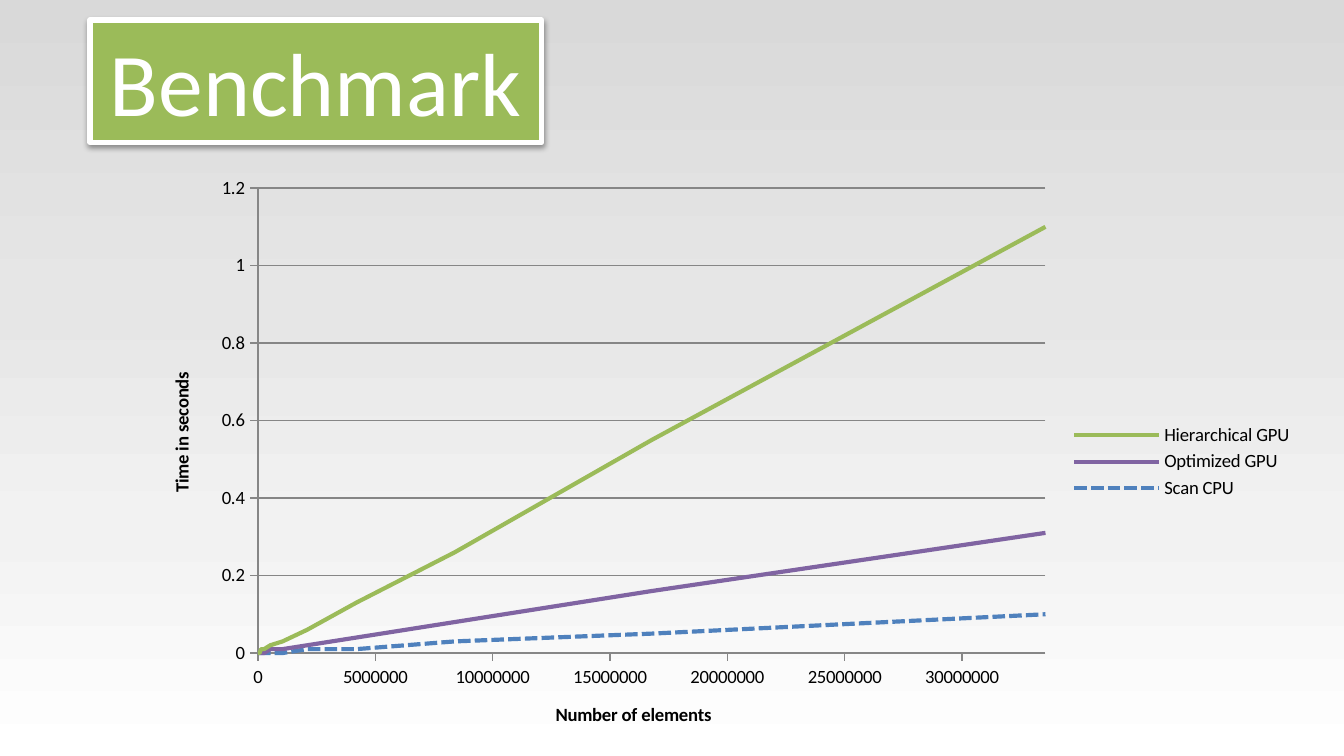
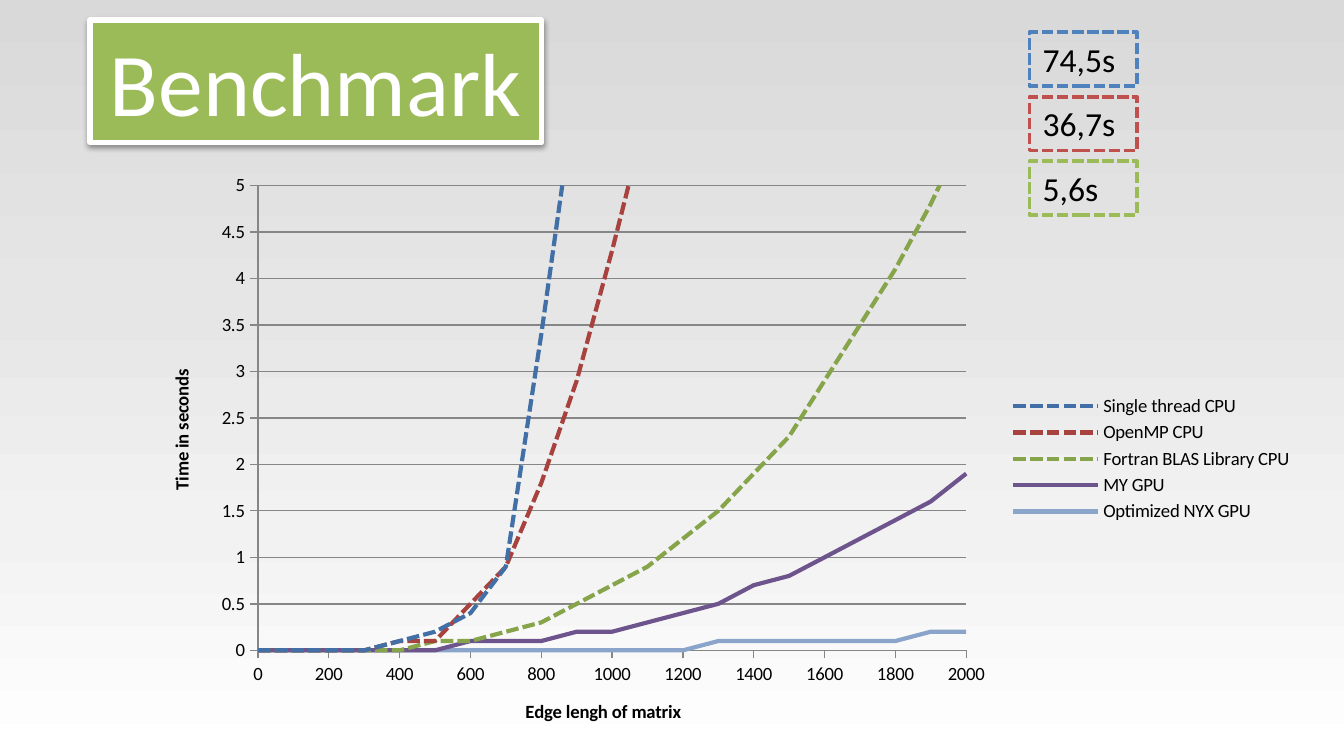
from lxml import etree
from pptx import Presentation
from pptx.chart.data import XyChartData
from pptx.dml.color import RGBColor
from pptx.enum.chart import (XL_CHART_TYPE, XL_LEGEND_POSITION,
                             XL_MARKER_STYLE, XL_TICK_MARK)
from pptx.enum.dml import MSO_LINE
from pptx.enum.shapes import MSO_SHAPE
from pptx.enum.text import MSO_ANCHOR, MSO_AUTO_SIZE, PP_ALIGN
from pptx.oxml.ns import qn
from pptx.util import Inches, Pt

SCATTER = XL_CHART_TYPE.XY_SCATTER_LINES_NO_MARKERS
RIGHT = XL_LEGEND_POSITION.RIGHT
NO_MARK = XL_MARKER_STYLE.NONE
OUT, NO_TICK = XL_TICK_MARK.OUTSIDE, XL_TICK_MARK.NONE
DASH = MSO_LINE.SQUARE_DOT  # sysDash
RECT = MSO_SHAPE.RECTANGLE
LEFT, CENTER = PP_ALIGN.LEFT, PP_ALIGN.CENTER
TOP = MSO_ANCHOR.TOP
GROW = MSO_AUTO_SIZE.SHAPE_TO_FIT_TEXT

FONT = "Calibri"
BLACK = RGBColor(0x00, 0x00, 0x00)
WHITE = RGBColor(0xFF, 0xFF, 0xFF)
GRAY = RGBColor(0x86, 0x86, 0x86)
BLUE = RGBColor(0x4F, 0x81, 0xBD)
RED = RGBColor(0xC0, 0x50, 0x4D)
GREEN = RGBColor(0x9B, 0xBB, 0x59)
PURPLE = RGBColor(0x80, 0x64, 0xA2)
DEEP_BLUE = RGBColor(0x41, 0x6F, 0xA6)
DEEP_RED = RGBColor(0xA8, 0x42, 0x3F)
DEEP_GREEN = RGBColor(0x86, 0xA4, 0x4A)
DEEP_PURPLE = RGBColor(0x6E, 0x54, 0x8D)
PALE_BLUE = RGBColor(0x8A, 0xA4, 0xCA)
BACK = [(0, "D9D9D9"), (40, "E6E6E6"), (70, "F2F2F2"), (100, "FFFFFF")]

# Chart frame and plot area, in inches
CHART_X, CHART_W, CHART_H = 1.06, 8.66, 4.39
PLOT_X, PLOT_Y, PLOT_H = 0.86, 0.16, 3.46

# Slide 1: element counts double from point to point
COUNTS = [2 ** n for n in range(11, 26)]
SCANS = [
    ("Hierarchical GPU", GREEN, False,
     [0, 0, 0, 0, 0, 0, 0.01, 0.01, 0.02, 0.03, 0.06, 0.13, 0.26, 0.55, 1.1]),
    ("Optimized GPU", PURPLE, False,
     [0, 0, 0, 0, 0, 0, 0, 0, 0.01, 0.01, 0.02, 0.04, 0.08, 0.16, 0.31]),
    ("Scan CPU", BLUE, True,
     [0, 0, 0, 0, 0, 0, 0, 0, 0, 0, 0.01, 0.01, 0.03, 0.05, 0.1]),
]

# Slide 2: matrix edge lengths
EDGES = [0, 20, 50, 80, *range(100, 2001, 100)]
MATRIX = [
    ("Single thread CPU", DEEP_BLUE, True,
     [0, 0, 0, 0, 0, 0, 0, 0.1, 0.2, 0.4, 0.9, 3.4, 6.1, 9.2, 12.3, 16.5,
      20.3, 25.2, 30.6, 39.8, 44.9, 55, 61.1, 74.5]),
    ("OpenMP CPU", DEEP_RED, True,
     [0, 0, 0, 0, 0, 0, 0, 0.1, 0.1, 0.5, 0.9, 1.8, 2.9, 4.3, 5.8, 7.6,
      9.7, 12.1, 15.8, 19.8, 22.5, 26.1, 30.9, 36.7]),
    ("Fortran BLAS Library CPU", DEEP_GREEN, True,
     [0, 0, 0, 0, 0, 0, 0, 0, 0.1, 0.1, 0.2, 0.3, 0.5, 0.7, 0.9, 1.2,
      1.5, 1.9, 2.3, 2.9, 3.5, 4.1, 4.8, 5.6]),
    ("MY GPU", DEEP_PURPLE, False,
     [0, 0, 0, 0, 0, 0, 0, 0, 0, 0.1, 0.1, 0.1, 0.2, 0.2, 0.3, 0.4,
      0.5, 0.7, 0.8, 1, 1.2, 1.4, 1.6, 1.9]),
    ("Optimized NYX GPU", PALE_BLUE, False,
     [0, 0, 0, 0, 0, 0, 0, 0, 0, 0, 0, 0, 0, 0, 0, 0,
      0.1, 0.1, 0.1, 0.1, 0.1, 0.1, 0.2, 0.2]),
]

PEAKS = [("74,5s", BLUE), ("36,7s", RED), ("5,6s", GREEN)]


class Deck:
    def __init__(self):
        self.prs = Presentation()
        self.prs.slide_width = Inches(10)
        self.prs.slide_height = Inches(10 * 9 / 16)
        self.slide = None

    def page(self, title):
        """Start a slide with the shared background and title plate."""
        self.slide = self.prs.slides.add_slide(self.prs.slide_layouts[6])
        fill = self.slide.background.fill
        fill.gradient()
        fill.gradient_angle = 270
        stops = next(self.slide.element.iter(qn("a:gsLst")))
        for stop in list(stops):
            stops.remove(stop)
        for pos, color in BACK:
            stop = etree.SubElement(stops, qn("a:gs"), pos=str(pos * 1000))
            etree.SubElement(stop, qn("a:srgbClr"), val=color)
        plate = self.box(title, 0.67, 0.15, 3.36, 0.91, 48, WHITE, CENTER)
        plate.fill.solid()
        plate.fill.fore_color.rgb = GREEN
        self.stroke(plate.line, WHITE, 3)
        self.shade(plate)

    def stroke(self, line, color, width, dash=False):
        line.color.rgb = color
        line.width = Pt(width)
        if dash:
            line.dash_style = DASH

    def shade(self, shape):
        effects = next(shape.element.iter(qn("a:effectLst")))
        outer = etree.SubElement(
            effects, qn("a:outerShdw"), blurRad=str(Pt(3.1)),
            dist=str(Pt(1.6)), dir="5400000", rotWithShape="0")
        color = etree.SubElement(outer, qn("a:srgbClr"), val="000000")
        etree.SubElement(color, qn("a:alpha"), val="38000")

    def box(self, text, x, y, w, h, size, color, align=LEFT):
        shape = self.slide.shapes.add_shape(
            RECT, Inches(x), Inches(y), Inches(w), Inches(h))
        shape.shadow.inherit = False
        shape.fill.background()
        frame = shape.text_frame
        frame.word_wrap = True
        frame.auto_size = GROW
        frame.vertical_anchor = TOP
        par = frame.paragraphs[0]
        par.alignment = align
        self.run(par, text, size, color)
        return shape

    def run(self, par, text, size, color, bold=False):
        run = par.add_run()
        run.text = text
        font = run.font
        font.name, font.size, font.bold = FONT, Pt(size), bold
        font.color.rgb = color

    def axis(self, axis, title, top, step):
        axis.minimum_scale = 0
        axis.maximum_scale = top
        axis.major_unit = step
        axis.major_tick_mark, axis.minor_tick_mark = OUT, NO_TICK
        axis.tick_labels.number_format = "General"
        axis.tick_labels.number_format_is_linked = False
        self.stroke(axis.format.line, GRAY, 0.75)
        par = axis.axis_title.text_frame.paragraphs[0]
        self.run(par, title, 10, BLACK, True)

    def plot(self, y, plot_w, xs, rows, x_axis, y_axis):
        """Line chart; each axis is given as (title, maximum, step)."""
        data = XyChartData()
        for name, _, _, values in rows:
            series = data.add_series(name)
            for point in zip(xs, values):
                series.add_data_point(*point)
        chart = self.slide.shapes.add_chart(
            SCATTER, Inches(CHART_X), Inches(y), Inches(CHART_W),
            Inches(CHART_H), data).chart
        chart.has_title = False
        chart.font.name, chart.font.size = FONT, Pt(10)
        chart.font.color.rgb = BLACK
        chart.has_legend = True
        chart.legend.position = RIGHT
        chart.legend.include_in_layout = False

        # Axes
        self.axis(chart.category_axis, *x_axis)
        self.axis(chart.value_axis, *y_axis)
        chart.category_axis.has_major_gridlines = False
        chart.value_axis.has_major_gridlines = True
        self.stroke(chart.value_axis.major_gridlines.format.line, GRAY, 0.75)

        # Lines
        chart.plots[0].vary_by_categories = False
        for series, (_, color, dash, _) in zip(chart.plots[0].series, rows):
            series.smooth = False
            series.marker.style = NO_MARK
            self.stroke(series.format.line, color, 2.25, dash)
        self.place(chart, plot_w)

    def place(self, chart, plot_w):
        """Fix the inner plot area as fractions of the chart frame."""
        area = next(chart.element.iter(qn("c:plotArea")))
        for old in area.findall(qn("c:layout")):
            area.remove(old)
        layout = etree.Element(qn("c:layout"))
        area.insert(0, layout)
        manual = etree.SubElement(layout, qn("c:manualLayout"))
        for tag, value in (("layoutTarget", "inner"), ("xMode", "edge"),
                           ("yMode", "edge"), ("x", PLOT_X / CHART_W),
                           ("y", PLOT_Y / CHART_H), ("w", plot_w / CHART_W),
                           ("h", PLOT_H / CHART_H)):
            etree.SubElement(manual, qn("c:" + tag), val=str(value))


def main():
    deck = Deck()

    # Slide 1: scan times
    deck.page("Benchmark")
    deck.plot(1.24, 5.86, COUNTS, SCANS,
              ("Number of elements", COUNTS[-1], 5000000),
              ("Time in seconds", 1.2, 0.2))

    # Slide 2: matrix times, with the peaks that leave the chart
    deck.page("Benchmark")
    deck.plot(1.22, 5.27, EDGES, MATRIX,
              ("Edge lengh of matrix", 2000, 200),
              ("Time in seconds", 5, 0.5))
    for row, (text, color) in enumerate(PEAKS):
        peak = deck.box(text, 7.66, 0.24 + 0.48 * row, 0.8, 0.4, 18, BLACK)
        deck.stroke(peak.line, color, 2, True)

    deck.prs.save("out.pptx")


if __name__ == "__main__":
    main()
